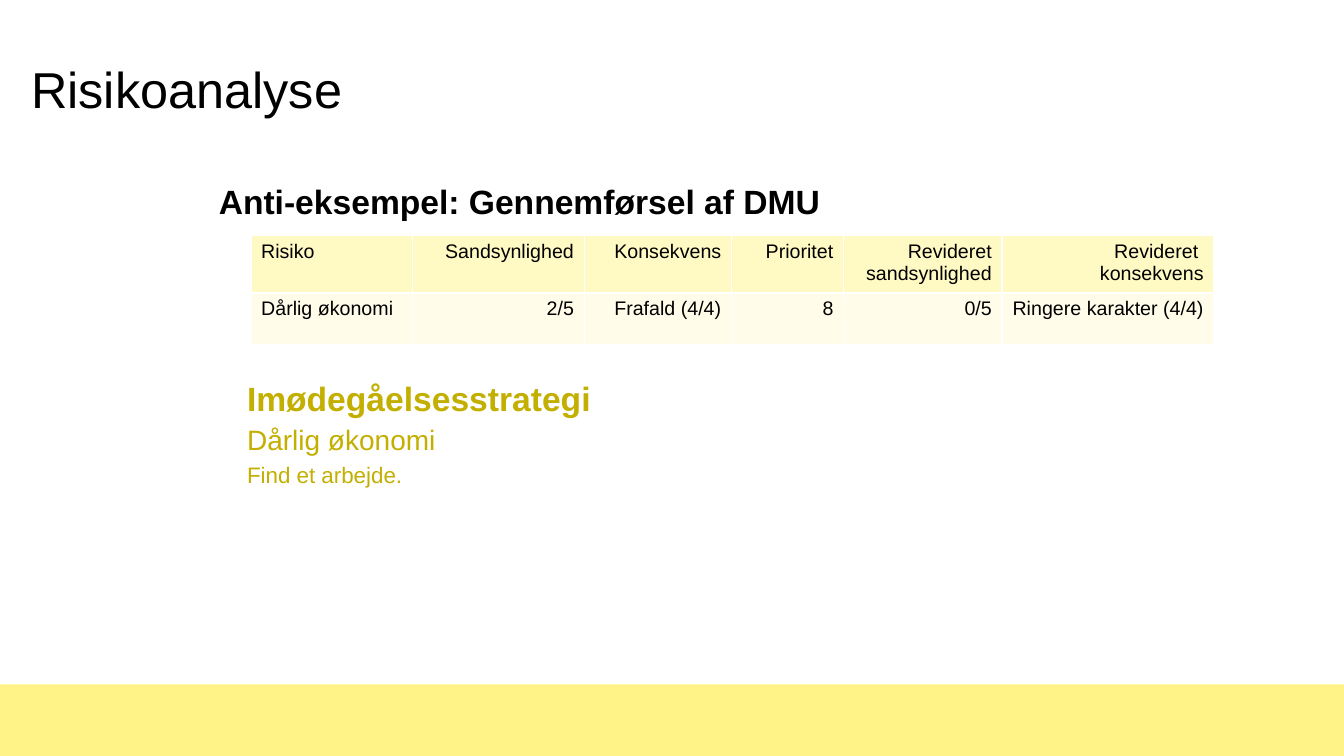
import lxml.etree
import pptx
import pptx.dml.color
import pptx.enum.shapes
import pptx.enum.text
import pptx.oxml.ns
import pptx.util

WIDTH, HEIGHT = 13.33, 7.5
BLACK, WHITE, GOLD = "000000", "FFFFFF", "C3AF00"
BAND, HEADER, BODY = "FFF387", "FFF9C3", "FFFDE9"
LEFT, RIGHT = pptx.enum.text.PP_ALIGN.LEFT, pptx.enum.text.PP_ALIGN.RIGHT
qn = pptx.oxml.ns.qn


def colour(code):
    return pptx.dml.color.RGBColor.from_string(code)


def inches(box):
    return [pptx.util.Inches(length) for length in box]


def paint(target, code):
    target.fill.solid()
    target.fill.fore_color.rgb = colour(code)


def write(paragraph, text, size=14, ink=BLACK, bold=False, align=LEFT, spacing=1.0, before=0):
    paragraph.text = text
    paragraph.alignment = align
    paragraph.line_spacing = spacing
    paragraph.space_before = pptx.util.Pt(before)
    for run in paragraph.runs:
        run.font.name = "Arial"
        run.font.size = pptx.util.Pt(size)
        run.font.bold = bold
        run.font.color.rgb = colour(ink)
    for line_break in paragraph._p.findall(qn("a:br")):
        lxml.etree.SubElement(line_break, qn("a:rPr"), sz=str(size * 100))


def text_block(slide, box, lines):
    frame = slide.shapes.add_textbox(*inches(box)).text_frame
    frame.word_wrap = True
    frame.margin_left = frame.margin_right = frame.margin_top = frame.margin_bottom = 0
    for index, (text, style) in enumerate(lines):
        paragraph = frame.add_paragraph() if index else frame.paragraphs[0]
        write(paragraph, text, **style)


def footer_band(slide, box):
    band = slide.shapes.add_shape(pptx.enum.shapes.MSO_SHAPE.RECTANGLE, *inches(box))
    band.shadow.inherit = False
    paint(band, BAND)
    band.line.fill.background()


def outline(cell, code, points):
    properties = cell._tc.get_or_add_tcPr()
    for position, side in enumerate(("a:lnL", "a:lnR", "a:lnT", "a:lnB")):
        edge = lxml.etree.Element(qn(side), w=str(pptx.util.Pt(points)))
        fill = lxml.etree.SubElement(edge, qn("a:solidFill"))
        lxml.etree.SubElement(fill, qn("a:srgbClr"), val=code)
        properties.insert(position, edge)


def risk_table(slide, box, shares, rows):
    left, top, width, height = box
    table = slide.shapes.add_table(len(rows), len(shares), *inches(box)).table
    for column, share in zip(table.columns, shares):
        column.width = pptx.util.Inches(width * share / sum(shares))
    for r, texts in enumerate(rows):
        table.rows[r].height = pptx.util.Inches(height / len(rows))
        for c, text in enumerate(texts):
            cell = table.cell(r, c)
            paint(cell, BODY if r else HEADER)
            outline(cell, WHITE, 1)
            write(cell.text_frame.paragraphs[0], text, align=RIGHT if c else LEFT)


def risk_slide(deck):
    slide = deck.slides.add_slide(deck.slide_layouts[6])
    paint(slide.background, WHITE)
    footer_band(slide, (0, 6.79, WIDTH, HEIGHT - 6.79))
    text_block(slide, (0.31, 0.64, 12.7, 0.9),
               [("Risikoanalyse", dict(size=36, spacing=0.9))])
    text_block(slide, (2.17, 1.75, 9, 0.45),
               [("Anti-eksempel: Gennemførsel af DMU", dict(size=24, bold=True, spacing=1.1))])
    risk_table(slide, (2.49, 2.34, 9.55, 1.02), (1.6, 1.7, 1.46, 1.11, 1.57, 2.1), [
        ("Risiko", "Sandsynlighed", "Konsekvens", "Prioritet",
         "Revideret sandsynlighed", "Revideret \vkonsekvens"),
        ("Dårlig økonomi", "2/5", "Frafald (4/4)", "8", "0/5", "Ringere karakter (4/4)"),
    ])
    strategy = dict(ink=GOLD, spacing=1.1)
    text_block(slide, (2.45, 3.71, 8.72, 1.2), [
        ("Imødegåelsesstrategi", dict(strategy, size=24, bold=True)),
        ("Dårlig økonomi", dict(strategy, size=20, before=1)),
        ("Find et arbejde.", dict(strategy, size=16, before=1)),
    ])


deck = pptx.Presentation()
deck.slide_width, deck.slide_height = inches((WIDTH, HEIGHT))
risk_slide(deck)
deck.save("out.pptx")
